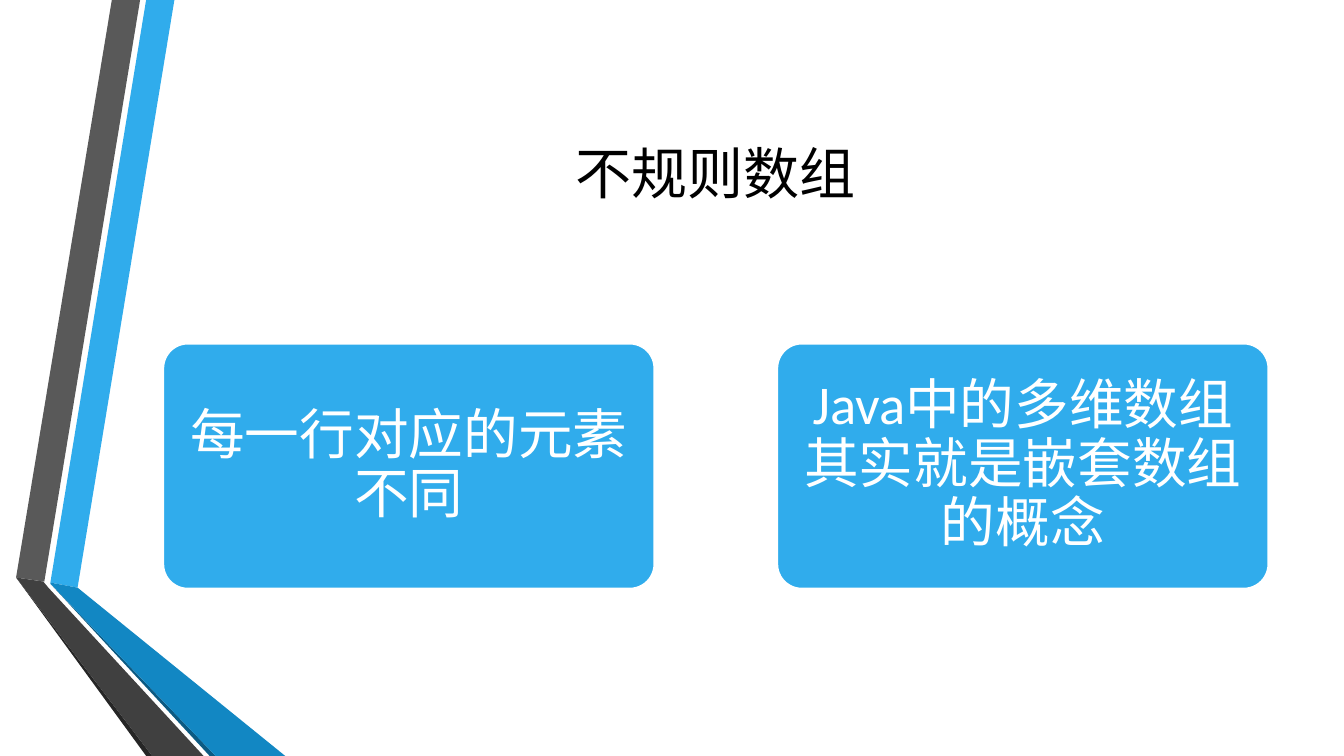
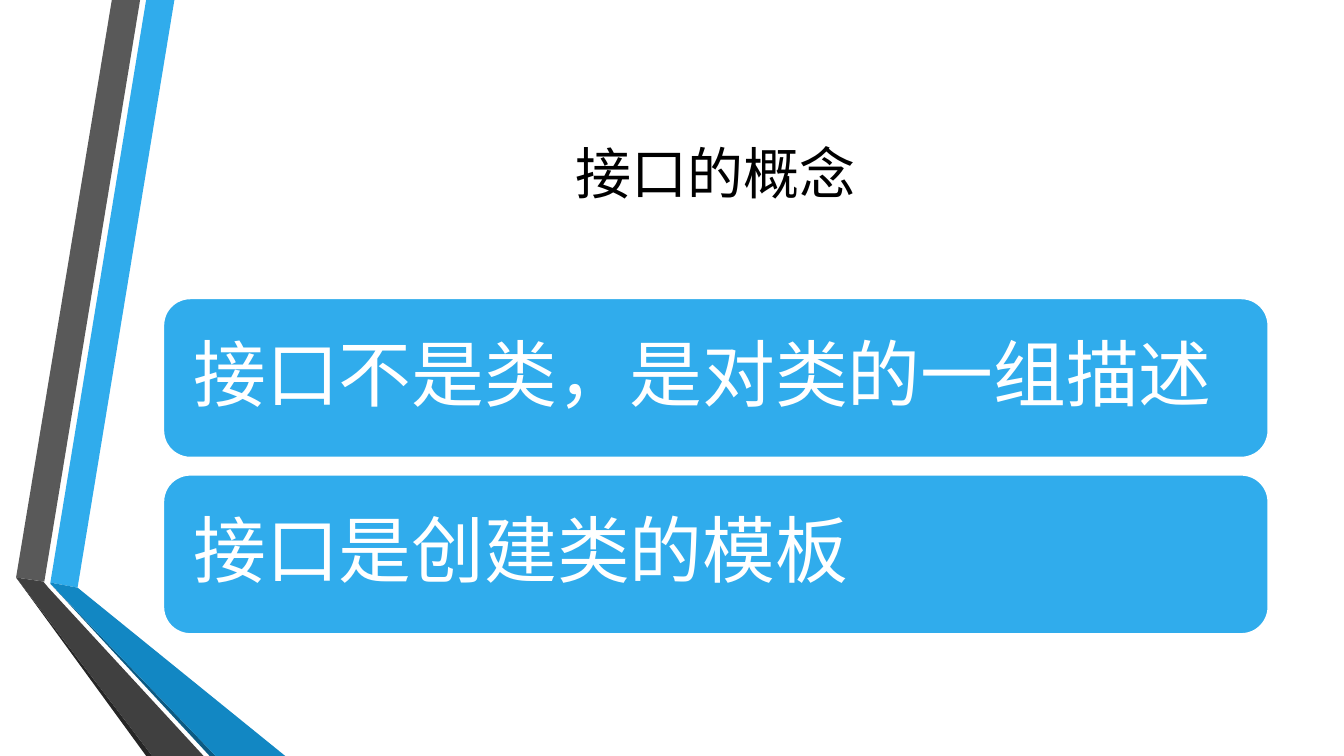
from pptx import Presentation
from pptx.dml.color import RGBColor
from pptx.enum.shapes import MSO_SHAPE as Shape
from pptx.enum.text import MSO_ANCHOR as Anchor, PP_ALIGN as Align
from pptx.util import Pt

PX = 9144  # EMU in one px, 100 px to the inch
FONT = "Calibri"
BLACK = RGBColor(0x00, 0x00, 0x00)
WHITE = RGBColor(0xFF, 0xFF, 0xFF)
BLUE = RGBColor(0x30, 0xAC, 0xEC)
MID_BLUE = RGBColor(0x12, 0x87, 0xC3)
DEEP_BLUE = RGBColor(0x0C, 0x5A, 0x82)
GREY = RGBColor(0x59, 0x59, 0x59)
DARK_GREY = RGBColor(0x40, 0x40, 0x40)
INK = RGBColor(0x26, 0x26, 0x26)

# Content area shared by titles and cards
LEFT, WIDTH = 162, 1096

# Folded ribbons at the left edge, from back to front
RIBBONS = [
    (BLUE, [(50, 578), (77, 583), (173, 0), (145, 0)]),
    (GREY, [(139, 0), (111, 0), (16, 573), (44, 577)]),
    (INK, [(16, 573), (145, 750), (151, 750)]),
    (DEEP_BLUE, [(50, 579), (208, 750), (214, 750)]),
    (MID_BLUE, [(50, 578), (50, 579), (214, 750), (283, 750), (77, 583)]),
    (DARK_GREY, [(202, 750), (48, 583), (43, 577), (16, 573), (151, 750)]),
]


def place(shape, left, top, width, height):
    shape.left, shape.top = left * PX, top * PX
    shape.width, shape.height = width * PX, height * PX


def add_span(para, text, size, color):
    span = para.add_run()
    span.text = text
    span.font.name = FONT
    span.font.size = Pt(size)
    span.font.color.rgb = color


def add_ribbons(page):
    for color, points in RIBBONS:
        builder = page.shapes.build_freeform(*points[0], scale=PX)
        builder.add_line_segments(points[1:], close=True)
        ribbon = builder.convert_to_shape()
        ribbon.shadow.inherit = False
        ribbon.fill.solid()
        ribbon.fill.fore_color.rgb = color
        ribbon.line.fill.background()


def add_page(deck, title):
    page = deck.slides.add_slide(deck.slide_layouts[5])
    add_ribbons(page)
    box = page.shapes.title
    place(box, LEFT, 75, WIDTH, 192)
    frame = box.text_frame
    frame.vertical_anchor = Anchor.MIDDLE
    para = frame.paragraphs[0]
    para.alignment = Align.CENTER
    add_span(para, title, 40, BLACK)
    return page


def add_card(page, bounds, text, size, align, insets, corner):
    left, top, width, height = (length * PX for length in bounds)
    card = page.shapes.add_shape(Shape.ROUNDED_RECTANGLE, left, top, width, height)
    card.adjustments[0] = corner
    card.shadow.inherit = False
    card.fill.solid()
    card.fill.fore_color.rgb = BLUE
    card.line.color.rgb = WHITE
    card.line.width = Pt(1.25)
    frame = card.text_frame
    frame.word_wrap = True
    frame.vertical_anchor = Anchor.MIDDLE
    side, end = insets
    frame.margin_left = frame.margin_right = side * PX
    frame.margin_top = frame.margin_bottom = end * PX
    para = frame.paragraphs[0]
    para.alignment = align
    para.line_spacing = 0.9
    add_span(para, text, size, WHITE)


def add_card_row(page, texts):
    width, height = 487, 243
    step = (WIDTH - width) // (len(texts) - 1)
    for index, text in enumerate(texts):
        bounds = (LEFT + index * step, 341, width, height)
        add_card(page, bounds, text, 39, Align.CENTER, (8, 5), 0.1)


def add_card_stack(page, texts):
    height, gap = 158, 17
    for index, text in enumerate(texts):
        bounds = (LEFT, 296 + index * (height + gap), WIDTH, height)
        add_card(page, bounds, text, 52, Align.LEFT, (22, 22), 0.17)


def main():
    deck = Presentation()
    deck.slide_width, deck.slide_height = 1333 * PX, 750 * PX

    # Irregular arrays
    page = add_page(deck, "不规则数组")
    add_card_row(page, ["每一行对应的元素不同", "Java中的多维数组其实就是嵌套数组的概念"])

    # Interfaces
    page = add_page(deck, "接口的概念")
    add_card_stack(page, ["接口不是类，是对类的一组描述", "接口是创建类的模板"])

    deck.save("out.pptx")


if __name__ == "__main__":
    main()
